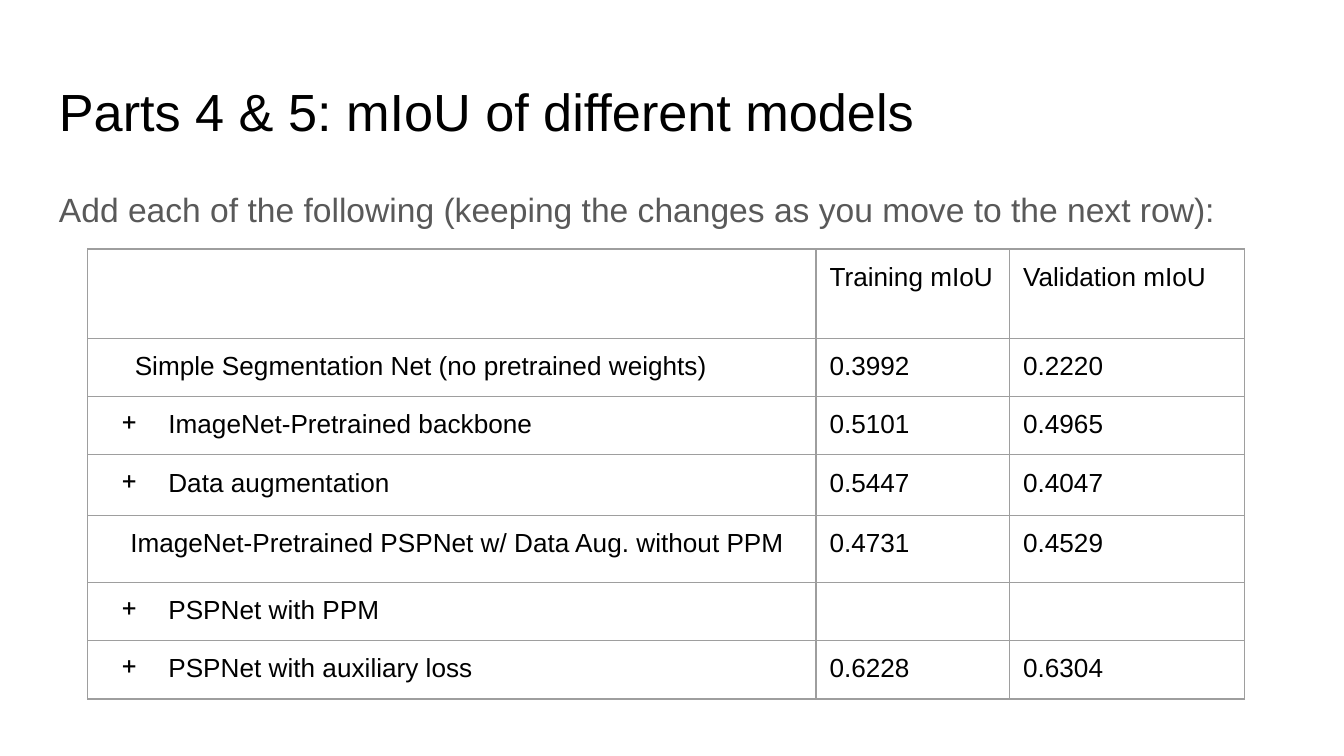
from lxml.etree import SubElement
from pptx import Presentation
from pptx.dml.color import RGBColor
from pptx.oxml.ns import qn
from pptx.util import Pt

BLACK, GREY, BORDER = "000000", "595959", "9E9E9E"
INSET = 7.2
COLUMN_WIDTHS = [390.2, 103.7, 126]
ROW_HEIGHTS = [47.8, 31.2, 31.2, 32.6, 35.7, 31.2, 31.2]
PLUS_INDENT, PLUS_HANGING = 36, -25
RESULTS = [
    ("", 0, False, "Training mIoU", "Validation mIoU"),
    ("Simple Segmentation Net (no pretrained weights)", 18, False, "0.3992", "0.2220"),
    ("ImageNet-Pretrained backbone", PLUS_INDENT, True, "0.5101", "0.4965"),
    ("Data augmentation", PLUS_INDENT, True, "0.5447", "0.4047"),
    ("ImageNet-Pretrained PSPNet w/ Data Aug. without PPM", 15.6, False, "0.4731", "0.4529"),
    ("PSPNet with PPM", PLUS_INDENT, True, "", ""),
    ("PSPNet with auxiliary loss", PLUS_INDENT, True, "0.6228", "0.6304"),
]


def rgb(colour):
    return RGBColor.from_string(colour)


def set_insets(holder):
    holder.margin_left = holder.margin_right = Pt(INSET)
    holder.margin_top = holder.margin_bottom = Pt(INSET)


def write(paragraph, text, size, colour):
    paragraph.text = text
    paragraph.font.name = "Arial"
    paragraph.font.size = Pt(size)
    paragraph.font.color.rgb = rgb(colour)


def add_text(slide, top, height, text, size, colour, line_spacing=1.0):
    box = slide.shapes.add_textbox(Pt(24.5), Pt(top), Pt(671), Pt(height))
    frame = box.text_frame
    frame.word_wrap = True
    set_insets(frame)
    write(frame.paragraphs[0], text, size, colour)
    frame.paragraphs[0].line_spacing = line_spacing


def add_borders(cell):
    properties = cell._tc.get_or_add_tcPr()
    for position, side in enumerate(("lnL", "lnR", "lnT", "lnB")):
        line = properties.makeelement(qn(f"a:{side}"), {"w": str(Pt(0.75))})
        fill = SubElement(line, qn("a:solidFill"))
        SubElement(fill, qn("a:srgbClr"), val=BORDER)
        properties.insert(position, line)


def indent(paragraph, left, plus):
    properties = paragraph._p.get_or_add_pPr()
    properties.set("marL", str(Pt(left)))
    properties.set("indent", str(Pt(PLUS_HANGING if plus else 0)))
    if plus:
        bullet = properties.makeelement(qn("a:buChar"), {"char": "+"})
        bullet_colour = properties.makeelement(qn("a:buClr"), {})
        SubElement(bullet_colour, qn("a:srgbClr"), val=BLACK)
        properties.insert(0, bullet_colour)
        properties.insert(1, bullet)


def fill_cell(cell, text):
    set_insets(cell)
    cell.fill.background()
    add_borders(cell)
    write(cell.text_frame.paragraphs[0], text, 14, BLACK)


def add_results(slide):
    frame = slide.shapes.add_table(
        len(RESULTS), len(COLUMN_WIDTHS), Pt(47), Pt(133.4),
        Pt(sum(COLUMN_WIDTHS)), Pt(sum(ROW_HEIGHTS)))
    table = frame.table
    table.first_row = table.horz_banding = False
    for column, width in zip(table.columns, COLUMN_WIDTHS):
        column.width = Pt(width)
    for row, height, (model, left, plus, *scores) in zip(table.rows, ROW_HEIGHTS, RESULTS):
        row.height = Pt(height)
        for cell, text in zip(row.cells, (model, *scores)):
            fill_cell(cell, text)
        indent(row.cells[0].text_frame.paragraphs[0], left, plus)


def main():
    """Build the slide that compares the mIoU of the models."""
    deck = Presentation()
    deck.slide_width, deck.slide_height = Pt(720), Pt(405)
    slide = deck.slides.add_slide(deck.slide_layouts[6])
    add_text(slide, 35, 45, "Parts 4 & 5: mIoU of different models", 28, BLACK)
    add_text(slide, 90.8, 269,
             "Add each of the following (keeping the changes as you move to the next row):",
             18, GREY, 1.15)
    add_results(slide)
    deck.save("out.pptx")


if __name__ == "__main__":
    main()
